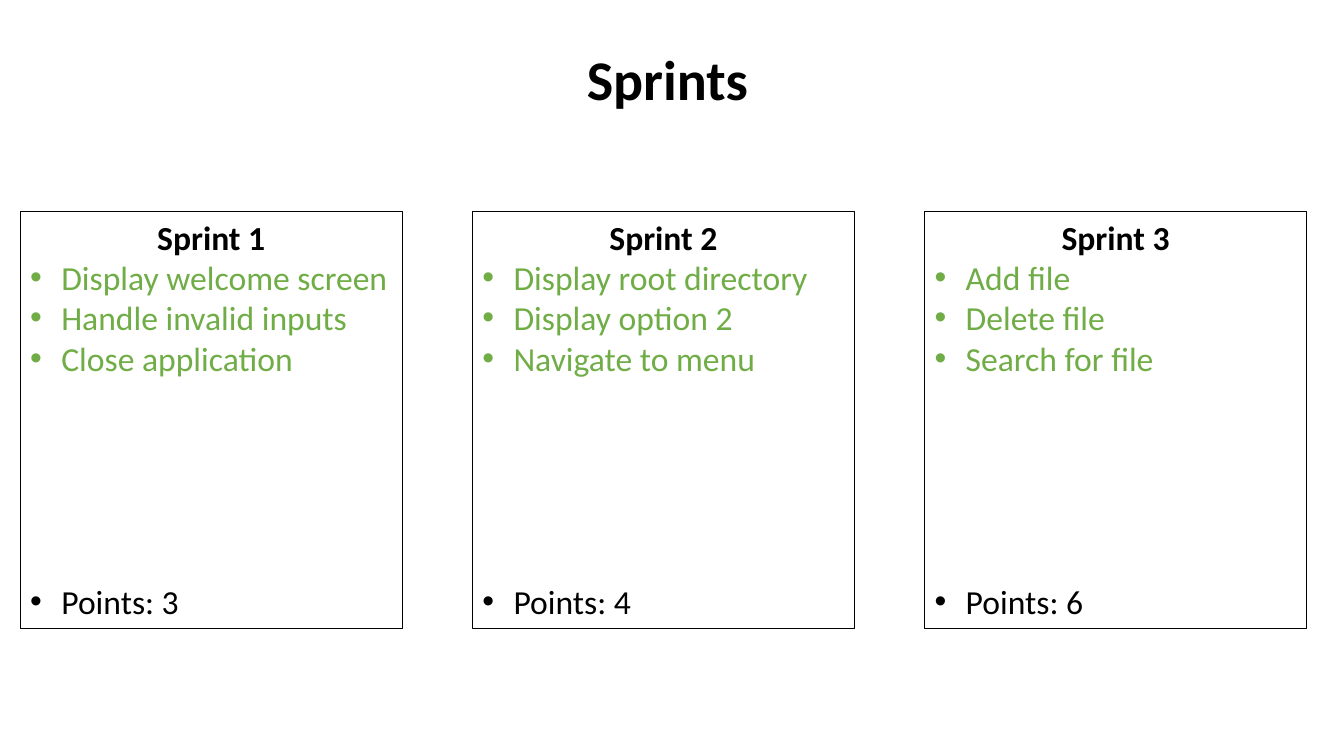
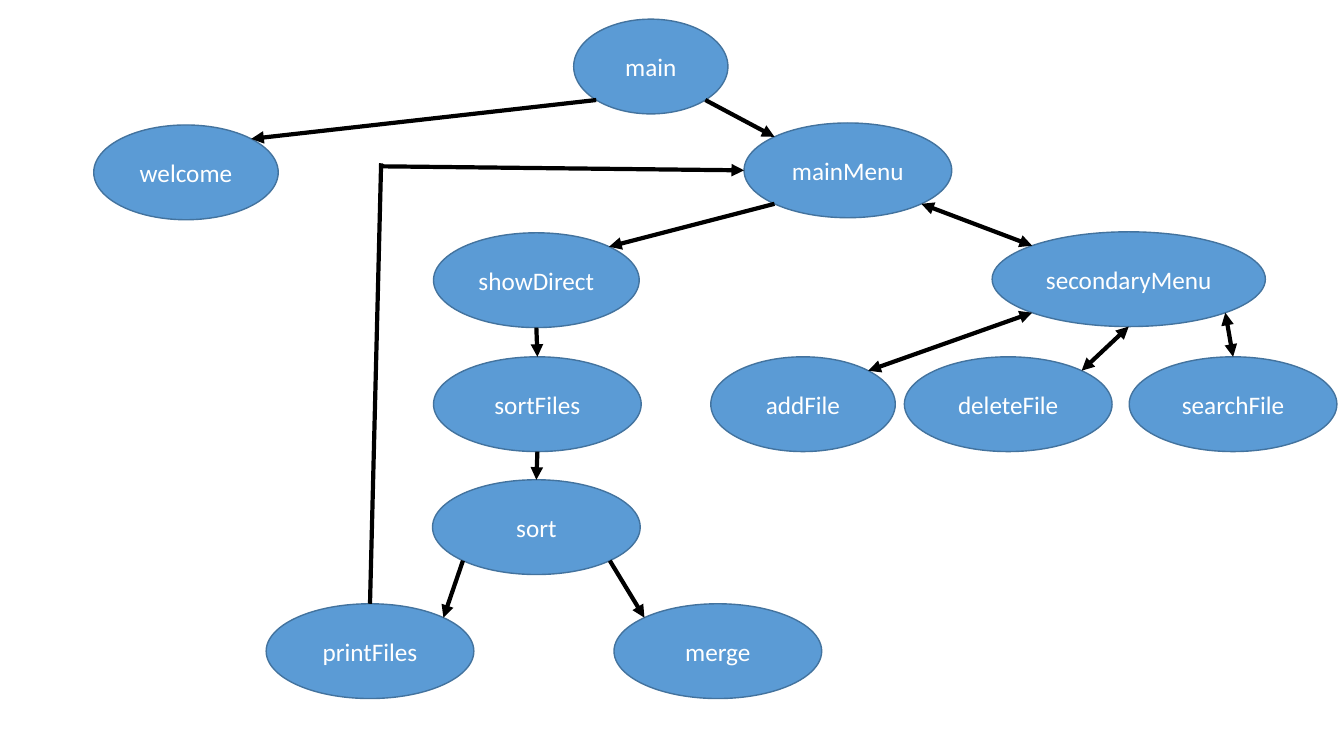
from math import cos, radians, sin

from lxml.etree import SubElement
from pptx import Presentation
from pptx.dml.color import RGBColor
from pptx.enum.shapes import MSO_CONNECTOR, MSO_SHAPE
from pptx.enum.text import MSO_ANCHOR, PP_ALIGN
from pptx.oxml.ns import qn
from pptx.util import Inches, Pt

FONT = "Calibri"
COLORS = {
    "ink": "000000",
    "paper": "FFFFFF",
    "done": "70AD47",
    "node": "5B9BD5",
    "node_edge": "43739E",
}

SPRINTS = [
    ("Sprint 1", ["Display welcome screen", "Handle invalid inputs", "Close application"], "Points: 3"),
    ("Sprint 2", ["Display root directory", "Display option 2", "Navigate to menu"], "Points: 4"),
    ("Sprint 3", ["Add file", "Delete file", "Search for file"], "Points: 6"),
]
FIRST_LEFT, LAST_LEFT = 0.2, 9.17
CARD_TOP, CARD_WIDTH, CARD_HEIGHT = 2.1, 3.79, 4.14
POINTS_GAP = 145

NODE_HEIGHT = 0.94
NODES = {
    "main": (5.69, 0.19, 1.53),
    "mainMenu": (7.38, 1.22, 2.06),
    "welcome": (0.93, 1.24, 1.83),
    "secondaryMenu": (9.84, 2.3, 2.71),
    "showDirect": (4.3, 2.31, 2.04),
    "deleteFile": (8.97, 3.54, 2.06),
    "addFile": (7.05, 3.54, 1.83),
    "searchFile": (11.2, 3.54, 2.06),
    "sortFiles": (4.3, 3.54, 2.06),
    "sort": (4.29, 4.76, 2.06),
    "merge": (6.09, 5.99, 2.06),
    "printFiles": (2.64, 5.99, 2.06),
}
ANGLES = {"E": 0, "SE": 45, "S": 90, "SW": 135, "W": 180, "NW": 225, "N": 270, "NE": 315}
CALLS = [
    ("main", "SE", "mainMenu", "NW"),
    ("main", "SW", "welcome", "NE"),
    ("mainMenu", "SW", "showDirect", "NE"),
    ("showDirect", "S", "sortFiles", "N"),
    ("sortFiles", "S", "sort", "N"),
    ("sort", "SE", "merge", "NW"),
    ("sort", "SW", "printFiles", "NE"),
]
TWO_WAY_CALLS = [
    ("mainMenu", "SE", "secondaryMenu", "NW"),
    ("secondaryMenu", "SW", "addFile", "NE"),
    ("secondaryMenu", "S", "deleteFile", "NE"),
    ("secondaryMenu", "SE", "searchFile", "N"),
]
RETURN_RISE_END = (3.78, 1.62)
RETURN_TURN = (3.78, 1.65)


def rgb(name):
    return RGBColor.from_string(COLORS[name])


def write(paragraph, text, size, color, bold=False, align=PP_ALIGN.CENTER):
    paragraph.alignment = align
    run = paragraph.add_run()
    run.text = text
    run.font.name = FONT
    run.font.size = Pt(size)
    run.font.bold = bold
    run.font.color.rgb = rgb(color)


def write_bullet(frame, text, color):
    paragraph = frame.add_paragraph()
    write(paragraph, text, 24, color, align=PP_ALIGN.LEFT)
    properties = paragraph._p.get_or_add_pPr()
    properties.set("marL", str(Inches(0.31)))
    properties.set("indent", str(-Inches(0.31)))
    SubElement(properties, qn("a:buFont"), typeface="Arial")
    SubElement(properties, qn("a:buChar"), char="•")
    return paragraph


def add_outlined(slide, kind, box, edge, weight, fill=None):
    shape = slide.shapes.add_shape(kind, *map(Inches, box))
    shape.shadow.inherit = False
    if fill:
        shape.fill.solid()
        shape.fill.fore_color.rgb = rgb(fill)
    else:
        shape.fill.background()
    shape.line.color.rgb = rgb(edge)
    shape.line.width = Pt(weight)
    shape.text_frame.word_wrap = True
    return shape


def add_sprint(slide, left, heading, stories, points):
    card = add_outlined(slide, MSO_SHAPE.RECTANGLE,
                        (left, CARD_TOP, CARD_WIDTH, CARD_HEIGHT), "ink", 0.75)
    frame = card.text_frame
    frame.vertical_anchor = MSO_ANCHOR.TOP
    write(frame.paragraphs[0], heading, 24, "ink", bold=True)
    for story in stories:
        write_bullet(frame, story, "done")
    write_bullet(frame, points, "ink").space_before = Pt(POINTS_GAP)


def add_node(slide, label, left, top, width):
    node = add_outlined(slide, MSO_SHAPE.OVAL, (left, top, width, NODE_HEIGHT),
                        "node_edge", 1, "node")
    node.text_frame.vertical_anchor = MSO_ANCHOR.MIDDLE
    write(node.text_frame.paragraphs[0], label, 18, "paper")


def rim(label, side):
    left, top, width = NODES[label]
    angle = radians(ANGLES[side])
    return (left + width / 2 * (1 + cos(angle)),
            top + NODE_HEIGHT / 2 * (1 + sin(angle)))


def add_arrow(slide, start, end, heads=("tailEnd",)):
    arrow = slide.shapes.add_connector(MSO_CONNECTOR.STRAIGHT, *map(Inches, start + end))
    arrow.line.color.rgb = rgb("ink")
    arrow.line.width = Pt(3)
    outline = arrow.line._get_or_add_ln()
    for head in heads:
        SubElement(outline, qn(f"a:{head}"), type="triangle")
    SubElement(arrow._element.spPr, qn("a:effectLst"))


def build_sprints(deck):
    slide = deck.slides.add_slide(deck.slide_layouts[5])
    title = slide.shapes.title
    title.left, title.top, title.width, title.height = map(Inches, (3.62, 0.39, 6, 0.77))
    title.text_frame.vertical_anchor = MSO_ANCHOR.MIDDLE
    write(title.text_frame.paragraphs[0], "Sprints", 40, "ink", bold=True)
    pitch = (LAST_LEFT - FIRST_LEFT) / (len(SPRINTS) - 1)
    for column, sprint in enumerate(SPRINTS):
        add_sprint(slide, FIRST_LEFT + column * pitch, *sprint)


def build_call_graph(deck):
    slide = deck.slides.add_slide(deck.slide_layouts[6])
    for label, place in NODES.items():
        add_node(slide, label, *place)
    for calls, heads in ((CALLS, ("tailEnd",)), (TWO_WAY_CALLS, ("headEnd", "tailEnd"))):
        for caller, exit_side, callee, entry_side in calls:
            add_arrow(slide, rim(caller, exit_side), rim(callee, entry_side), heads)
    add_arrow(slide, RETURN_TURN, rim("mainMenu", "W"))
    add_arrow(slide, rim("printFiles", "N"), RETURN_RISE_END, ())


def main():
    deck = Presentation()
    deck.slide_width, deck.slide_height = Inches(13.33), Inches(7.5)
    build_sprints(deck)
    build_call_graph(deck)
    deck.save("out.pptx")


if __name__ == "__main__":
    main()
